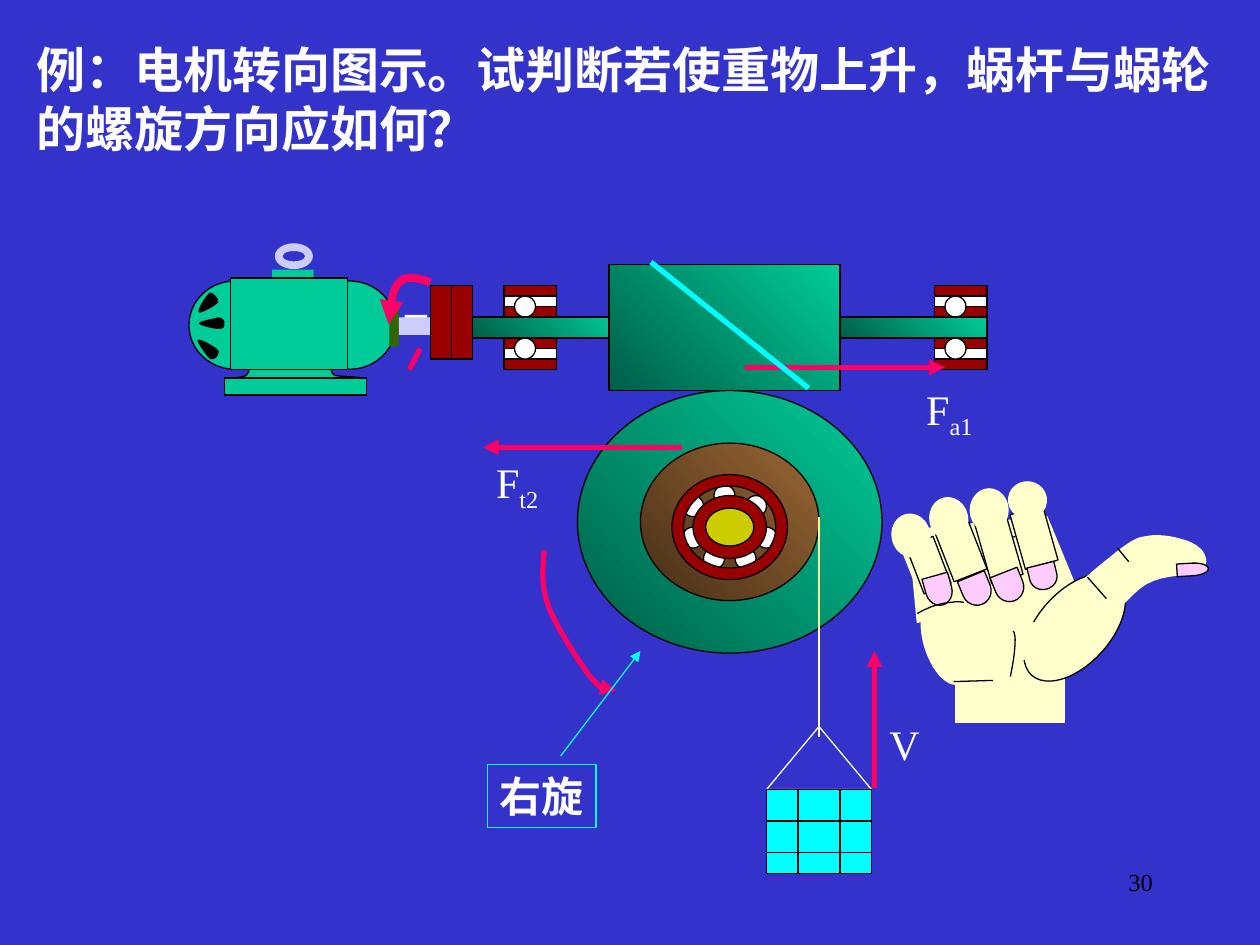
from lxml import etree
from pptx import Presentation
from pptx.dml.color import RGBColor
from pptx.enum.shapes import MSO_CONNECTOR, MSO_SHAPE
from pptx.enum.text import MSO_ANCHOR, MSO_AUTO_SIZE, PP_ALIGN
from pptx.oxml.ns import qn
from pptx.util import Pt

RECT, OVAL, RING = MSO_SHAPE.RECTANGLE, MSO_SHAPE.OVAL, MSO_SHAPE.DONUT
TRIANGLE, NAIL = MSO_SHAPE.ISOSCELES_TRIANGLE, MSO_SHAPE.FLOWCHART_DELAY
LINE, CURVE, POLYGON = "line", "curve", "polygon"
LEFT, CENTER, RIGHT = PP_ALIGN.LEFT, PP_ALIGN.CENTER, PP_ALIGN.RIGHT
TOP, MIDDLE = MSO_ANCHOR.TOP, MSO_ANCHOR.MIDDLE


class Theme:
    font = "Times New Roman"
    title, label, number = 28, 24, 14
    thin, thick, heavy = 0.75, 3, 4.5
    back, black, white = "3333CC", "000000", "FFFFFF"
    green, red, gold, lilac, olive = "00CC99", "990000", "CCCC00", "CCCCFF", "336600"
    cyan, pink, rope, skin, nail = "00FFFF", "FF0066", "FFFF99", "FFFFCC", "FFCCFF"
    steel, bronze = ("005E47", "00CC99"), ("472F18", "996633")


T = Theme
prs = Presentation()
prs.slide_width, prs.slide_height = Pt(720), Pt(540)
s = prs.slides.add_slide(prs.slide_layouts[5])
s.background.fill.solid()
s.background.fill.fore_color.rgb = RGBColor.from_string(T.back)


def draw(kind, geometry, fill=None, line=T.black, width=T.thin, rot=0, arrow=False):
    """Draw a connector, a cubic curve, a polygon or a preset shape."""
    if kind == LINE:
        sp = s.shapes.add_connector(MSO_CONNECTOR.STRAIGHT, *map(Pt, geometry))
        etree.SubElement(sp._element.spPr, qn("a:effectLst"))
    elif kind in (CURVE, POLYGON):
        points = list(zip(geometry[::2], geometry[1::2]))
        if kind == CURVE:
            knots, points = points, points[:1]
            for i in range(0, len(knots) - 1, 3):
                for t in (n / 8 for n in range(1, 9)):
                    weights = ((1 - t) ** 3, 3 * t * (1 - t) ** 2, 3 * t * t * (1 - t), t ** 3)
                    points.append([sum(w * k[axis] for w, k in zip(weights, knots[i:i + 4]))
                                   for axis in (0, 1)])
        points = [(Pt(x), Pt(y)) for x, y in points]
        builder = s.shapes.build_freeform(*points[0])
        builder.add_line_segments(points[1:], close=fill is not None)
        sp = builder.convert_to_shape()
    else:
        sp = s.shapes.add_shape(kind, *map(Pt, geometry))
        sp.rotation = rot
    if kind != LINE:
        sp.shadow.inherit = False
        if isinstance(fill, tuple):
            sp.fill.gradient()
            sp.fill.gradient_angle = 45
            for stop, color in zip(sp.fill.gradient_stops, fill):
                stop.color.rgb = RGBColor.from_string(color)
        elif fill:
            sp.fill.solid()
            sp.fill.fore_color.rgb = RGBColor.from_string(fill)
        else:
            sp.fill.background()
    if line:
        sp.line.color.rgb = RGBColor.from_string(line)
        sp.line.width = Pt(width)
    else:
        sp.line.fill.background()
    if arrow:
        etree.SubElement(sp.line._get_or_add_ln(), qn("a:tailEnd"), type="triangle")
    return sp


def write(sp, text, size, color=T.white, bold=False, sub="", align=CENTER, anchor=MIDDLE, wrap=False):
    tf = sp.text_frame
    tf.word_wrap, tf.auto_size, tf.vertical_anchor = wrap, MSO_AUTO_SIZE.NONE, anchor
    p = tf.paragraphs[0]
    p.text, p.alignment = text, align
    if sub:
        r = p.add_run()
        r.text = sub
        r._r.get_or_add_rPr().set("baseline", "-25000")
    for r in p.runs:
        r.font.name, r.font.size, r.font.bold = T.font, Pt(size), bold
        r.font.color.rgb = RGBColor.from_string(color)


# Title and page number
title = s.shapes.title
title.left, title.top, title.width, title.height = Pt(13.7), Pt(18.7), Pt(700.6), Pt(75)
write(title, "例：电机转向图示。试判断若使重物上升，蜗杆与蜗轮的螺旋方向应如何？", T.title,
      bold=True, align=LEFT, wrap=True)
number = s.shapes.add_textbox(Pt(516), Pt(492), Pt(150), Pt(36))
write(number, "30", T.number, T.black, align=RIGHT, anchor=TOP, wrap=True)

# Shaft bearings
for x in (534, 288):
    draw(RECT, (x, 163.2, 30, 48), T.red)
    for y in (169.2, 199.2):
        draw(RECT, (x, y, 30, 6), T.white)
    for y in (169.2, 193.2):
        draw(OVAL, (x + 6, y, 12, 12), T.white)
draw(RECT, (270, 181.2, 84, 12), T.steel)

# Motor
draw(RECT, (155.5, 154, 23.8, 6.5), T.green, None)
draw(CURVE, (142.6, 211, 141.8, 212.4, 141.8, 213.8, 140.4, 214.6, 139.7, 215.3, 136.8, 215.3, 135.4, 216,
             133.9, 216.7, 123.1, 216.7, 131.8, 217.4, 140.4, 218.2, 173.5, 219.6, 185.8, 218.9,
             198.7, 218.9, 205.2, 216.7, 205.9, 216, 206.6, 215.3, 194.4, 215.3, 191.5, 214.6,
             188.6, 213.1, 189.4, 210.2, 189.4, 209.5, 190.1, 208.1, 203, 208.1, 195.1, 208.1,
             187.2, 207.4, 151.2, 207.4, 142.6, 208.1, 133.9, 208.1, 142.6, 210.2, 142.6, 211), T.green)
for x in (108, 173.5):
    draw(OVAL, (x, 160.6, 52.6, 50.4), T.green)
draw(RECT, (131.8, 158.8, 67, 52.4), T.green)
for vent in (
        (113.8, 185, 113, 183.6, 121.7, 182.2, 124.6, 181.4, 126.7, 181.4, 127.4, 182.2, 128.2, 183.6,
         128.2, 184.3, 128.9, 187.9, 126, 187.9, 123.8, 188.6, 113.8, 185.8, 113.8, 185),
        (113.8, 178.6, 112.3, 177.8, 116.6, 170.6, 118.1, 169.2, 119.5, 167, 120.2, 167, 121.7, 167.8,
         122.4, 168.5, 125.3, 170.6, 124.6, 172.8, 123.1, 175, 114.5, 179.3, 113.8, 178.6),
        (113, 194.4, 113.8, 193, 121, 197.3, 123.1, 198.7, 125.3, 200.2, 125.3, 201.6, 124.6, 202.3,
         124.6, 203.8, 122.4, 205.9, 120.2, 205.2, 118.1, 203.8, 112.3, 195.1, 113, 194.4)):
    draw(CURVE, vent, T.black, None)
draw(RECT, (128.2, 216, 81.4, 9.8), T.green)
draw(RECT, (222.5, 175, 5.4, 23), T.olive, None)
draw(RECT, (227.9, 181.4, 18, 10), T.lilac, None)
draw(RECT, (231.3, 180, 12.8, 1.6), T.white, None)
draw(RING, (157, 139, 21.8, 14.8), T.lilac, None).adjustments[0] = 0.3

# Coupling, worm and output shaft
coupling = draw(RECT, (246, 163.2, 24, 42), T.red)
joint = draw(LINE, (258, 163.2, 258, 205.2))
joint.begin_connect(coupling, 0)
joint.end_connect(coupling, 2)
draw(RECT, (348, 151.2, 132, 72), T.steel)
draw(RECT, (480, 181.2, 84, 12), T.steel)

# Worm wheel, drum, rope and load
draw(OVAL, (330, 223.2, 174, 150), T.steel)
draw(OVAL, (366, 253.2, 102, 90), T.bronze)
draw(LINE, (468, 295.2, 468, 421.2), line=T.rope)
draw(TRIANGLE, (438, 415.2, 60, 36), line=T.white)
draw(RECT, (438, 451.2, 60, 48), T.cyan)
for y in (469.2, 487.2):
    draw(LINE, (438, y, 498, y))
for x in (456, 480):
    draw(LINE, (x, 451.2, x, 499.2))

# Drum bearing
for x, y in ((408, 277.2), (426, 283.2), (432, 301.2), (420, 313.2), (402, 313.2), (390, 301.2), (390, 283.2)):
    draw(OVAL, (x, y, 12, 12), T.white)
draw(OVAL, (402, 289.2, 30, 24), T.gold)
draw(RING, (384, 271.2, 66, 60), T.red).adjustments[0] = 0.11
draw(RING, (396, 283.2, 42, 36), T.red).adjustments[0] = 0.2

# Rotation and force arrows
draw(LINE, (234, 211.2, 240, 199.2), line=T.pink, width=T.thick)
draw(CURVE, (246, 161.3, 239, 159, 231.8, 157, 228.2, 161.3, 224, 165, 223.2, 175, 222, 185.2),
     line=T.pink, width=T.heavy, arrow=True)
draw(CURVE, (311, 314.6, 310.3, 322.6, 309.6, 329.8, 311, 337.7, 312.5, 345.6, 315.4, 352, 320.4, 360.7,
             325.4, 369.4, 334.8, 384.5, 339.8, 389.5, 344.9, 395.3, 348.5, 394.6, 352, 394.6),
     line=T.pink, width=T.thick, arrow=True)
for ends in ((499.7, 450, 499.7, 372), (390, 255.6, 276, 255.6), (426, 210, 540, 210)):
    draw(LINE, ends, line=T.pink, width=T.thick, arrow=True)

# Right hand, from back to front
for part in (
        (OVAL, (527.8, 339.1, 25.9, 52.6), T.skin, T.skin, T.thin, 164.2),
        (POLYGON, (547.9, 395.3, 617, 340.6, 598.3, 295.2, 511.2, 303.8), T.skin, T.skin),
        (RECT, (555, 360, 44, 62), T.skin, T.skin, T.thin, 90),
        (OVAL, (577.4, 337.7, 73.4, 41.8), T.skin, T.black, T.thin, 312),
        (POLYGON, (560.2, 344.9, 537.8, 303.8, 519.8, 309.6, 524.2, 355.7), T.skin, T.skin),
        (RECT, (535, 305.3, 28.8, 20.2), T.skin, T.black, T.thin, 68.6),
        (OVAL, (529.9, 285.8, 24.5, 21.6), T.skin, T.skin, T.thin, 77.7),
        (NAIL, (549.4, 329, 17.3, 16.6), T.nail, T.black, T.thin, 67.6),
        (RECT, (574.6, 297.4, 32.4, 19.4), T.skin, T.black, T.thin, 74.2),
        (OVAL, (576.7, 275, 20.9, 21.6), T.skin, T.skin, T.thin, 96.8),
        (LINE, (580.3, 306.7, 567.4, 308.2)),
        (LINE, (578.9, 308.9, 566.6, 311)),
        (RECT, (552.2, 303.8, 36.7, 18.7), T.skin, T.black, T.thin, 74),
        (OVAL, (553, 280.8, 24.5, 21.6), T.skin, T.skin, T.thin, 89.1),
        (NAIL, (589, 321.8, 14.4, 15.8), T.nail, T.black, T.thin, 76.2),
        (RECT, (516.2, 314.6, 28.8, 16.6), T.skin, T.black, T.thin, 68.9),
        (NAIL, (527.8, 329.8, 17.3, 15.1), T.nail, T.black, T.thin, 74.4),
        (CURVE, (524.2, 350.6, 525.6, 349.9, 527.8, 348.5, 529.9, 347.8, 531.4, 347, 533.5, 346.3, 535.7, 345.6,
                 538.6, 344.9, 542.2, 344.2, 544.3, 344.2, 547.2, 343.4, 549.4, 344.2, 550.8, 344.2)),
        (OVAL, (508.3, 295.2, 24.5, 21.6), T.skin, T.skin, T.thin, 77.4),
        (NAIL, (568, 326.9, 17.3, 16.6), T.nail, T.black, T.thin, 68.4),
        (RECT, (570.2, 355.7, 42.5, 20.9), T.skin, T.skin),
        (CURVE, (578.9, 360.7, 581, 361.4, 580.3, 373, 577.4, 386.6)),
        (LINE, (545, 389.5, 567.4, 388.8)),
        (LINE, (643, 315.4, 651.6, 309.6)),
        (CURVE, (607.7, 344.9, 609.8, 337.7, 631.4, 321.1, 639.4, 314.6, 647.3, 308.9, 649.4, 307.4, 655.2, 306.7,
                 661, 305.3, 669.6, 306.7, 674.6, 308.2, 680.4, 309.6, 685.4, 312.5, 687.6, 316,
                 689, 319, 690.5, 323.3, 685.4, 326.2, 680.4, 329, 665.3, 327.6, 655.2, 333.4,
                 645.8, 338.4, 634.3, 355.7, 626.4, 357.8, 618.5, 360, 605.5, 352.8, 607.7, 344.9), T.skin, T.skin),
        (NAIL, (672.5, 321.8, 18, 7.2), T.nail, T.black, T.thin, 356.7),
        (LINE, (638.6, 313.2, 645, 321)),
        (LINE, (621.4, 329.8, 632.2, 342))):
    draw(*part)

# Helix line, labels and leader
draw(LINE, (372, 149.8, 462, 221.8), line=T.cyan, width=T.thick)
for text, sub, box in (("V", "", (501.1, 406.8, 31.7, 36)), ("F", "t2", (276.5, 257, 38.2, 40.3)),
                       ("F", "a1", (522, 215.3, 41, 40.3))):
    write(s.shapes.add_textbox(*map(Pt, box)), text, T.label, sub=sub)
write(draw(RECT, (278.6, 437, 62, 36), line=T.cyan), "右旋", T.label, bold=True)
draw(LINE, (320.4, 432, 366, 372), line=T.cyan, arrow=True)

prs.save("out.pptx")
